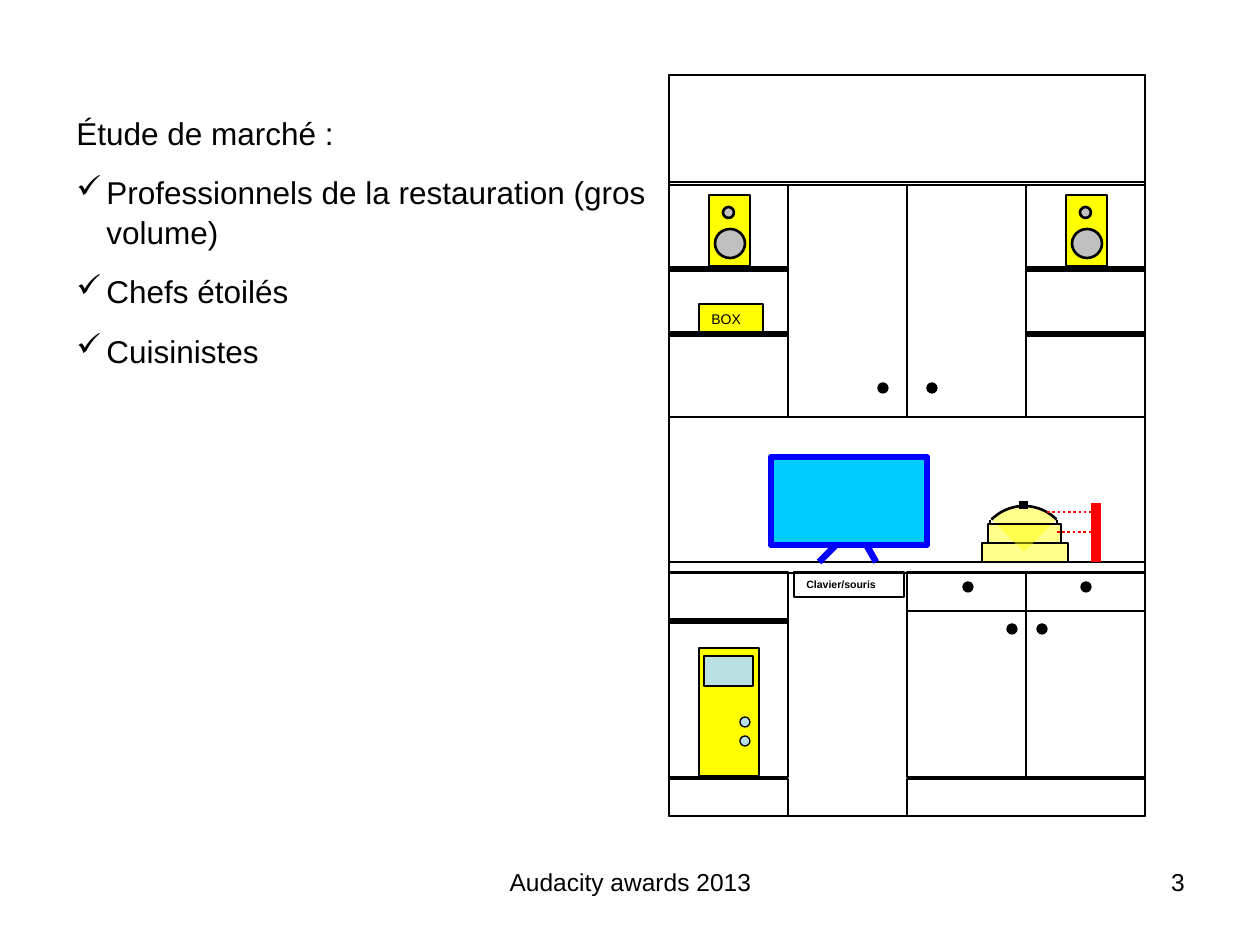
from lxml import etree
from pptx import Presentation
from pptx import util as u
from pptx.dml.color import RGBColor
from pptx.enum import dml, shapes, text
from pptx.oxml.ns import qn

BLACK = RGBColor(0, 0, 0)
YELLOW = RGBColor(255, 255, 0)
SILVER = RGBColor(192, 192, 192)
PALE = RGBColor(0xBB, 0xE0, 0xE3)
SKY = RGBColor(0, 0xCC, 255)
BLUE = RGBColor(0, 0, 255)
RED = RGBColor(255, 0, 0)
RECT = shapes.MSO_SHAPE.RECTANGLE
OVAL = shapes.MSO_SHAPE.OVAL
ARC = shapes.MSO_SHAPE.ARC
LEFT, MID, RIGHT = text.PP_ALIGN.LEFT, text.PP_ALIGN.CENTER, text.PP_ALIGN.RIGHT

TITLE = "Étude de marché :"
ITEMS = ["Professionnels de la restauration (gros volume)", "Chefs étoilés", "Cuisinistes"]
FOOTER = [("Audacity awards 2013", 431, 399, MID), ("3", 903, 294, RIGHT)]

# Cabinet grid: four equal columns
X0, COL = 669, 119
# Panels: first column, columns spanned, top, height, line width
PANELS = [
    (0, 4, 75, 741, 1.5), (0, 4, 75, 107, 0.75), (0, 4, 562, 11, 1.5),
    (0, 1, 779, 37, 1.5), (2, 2, 779, 37, 1.5), (0, 1, 572, 205, 1.5),
    *[(c, 1, 185, 232, 1.5) for c in range(4)],
    *[(c, 1, top, high, 1.5) for c in (2, 3) for top, high in ((572, 39), (611, 166))],
]
SHELVES = [(0, 269), (3, 269), (0, 334), (3, 334), (0, 621)]
KNOBS = [(878, 383), (927, 383), (963, 582), (1081, 582), (1007, 624), (1037, 624)]
# Speaker parts, offset from the left of the column
SPEAKER = [(RECT, 40, 195, 41, 71, YELLOW), (OVAL, 46, 229, 30, 29, SILVER),
           (OVAL, 54, 207, 11, 11, SILVER)]
TOWER = [(RECT, 699, 648, 60, 128, YELLOW, 1.5), (RECT, 704, 656, 49, 30, PALE, 1.5),
         (OVAL, 740, 717, 10, 10, PALE, 0.75), (OVAL, 740, 736, 10, 10, PALE, 0.75)]
LEGS = [(867, 546, 876, 562), (835, 546, 819, 562)]
DISH = [(RECT, 982, 543, 86, 19), (RECT, 988, 524, 73, 19), (ARC, 978, 506, 92, 92)]
RIM = [(990, 524, 1056, 524), (990, 520, 990, 524), (1057, 520, 1057, 524)]
BEAMS = [(1047, 512, 1096, 512), (1057, 532, 1096, 532)]

prs = Presentation()
prs.slide_width, prs.slide_height = u.Inches(10), u.Inches(7.5)
slide = prs.slides.add_slide(prs.slide_layouts[6])


def px(*vals):
    return [u.Emu(round(v * 914400 / 126)) for v in vals]


def draw(kind, x, y, w, h, fill=None, width=1.5, color=BLACK, alpha=None):
    shp = slide.shapes.add_shape(kind, *px(x, y, w, h))
    shp.shadow.inherit = False
    if fill is None:
        shp.fill.background()
    else:
        shp.fill.solid()
        shp.fill.fore_color.rgb = fill
    if alpha:
        tint = shp._element.spPr.find(qn("a:solidFill"))[0]
        etree.SubElement(tint, qn("a:alpha")).set("val", str(alpha * 1000))
    shp.line.color.rgb = color
    shp.line.width = u.Pt(width)
    return shp


def rule(x1, y1, x2, y2, width=1.5, color=BLACK, dash=None):
    ln = slide.shapes.add_connector(shapes.MSO_CONNECTOR.STRAIGHT, *px(x1, y1, x2, y2))
    ln.line.color.rgb = color
    ln.line.width = u.Pt(width)
    if dash:
        ln.line.dash_style = dash
    etree.SubElement(ln._element.spPr, qn("a:effectLst"))


def write(par, words, size, align=LEFT, bold=False):
    par.text = words
    par.alignment = align
    font = par.font
    font.name, font.size, font.bold = "Arial", u.Pt(size), bold
    font.color.rgb = BLACK


def label(shp, words, size, bold=False):
    shp.text_frame.vertical_anchor = text.MSO_ANCHOR.TOP
    write(shp.text_frame.paragraphs[0], words, size, bold=bold)


def box(x, y, w, h):
    frame = slide.shapes.add_textbox(*px(x, y, w, h)).text_frame
    frame.word_wrap = True
    return frame


# Cabinet
for col, span, top, high, width in PANELS:
    draw(RECT, X0 + col * COL, top, span * COL, high, width=width)
for col, y in SHELVES:
    rule(X0 + col * COL, y, X0 + (col + 1) * COL, y, 3.75)
for x, y in KNOBS:
    draw(OVAL, x, y, 10, 10, BLACK, 0.75)

# Keyboard drawer, computer, speakers and box
label(draw(RECT, 794, 572, 110, 25), "Clavier/souris", 6, True)
for part in TOWER:
    draw(*part)
for col in (0, 3):
    for kind, dx, y, w, h, fill in SPEAKER:
        draw(kind, X0 + col * COL + dx, y, w, h, fill)
label(draw(RECT, 699, 304, 64, 28, YELLOW), "BOX", 8)

# Television
draw(RECT, 771, 457, 156, 88, SKY, 3.75, BLUE)
for leg in LEGS:
    rule(*leg, 3.75, BLUE)

# Dish with its lid, and the sensor beside it
for part in DISH:
    shp = draw(*part, YELLOW, alpha=45)
    if part[0] == ARC:
        shp.rotation = 315
for edge in RIM:
    rule(*edge)
rule(1019, 505, 1028, 505, 5)
rule(1096, 503, 1096, 562, 5.75, RED)
for beam in BEAMS:
    rule(*beam, 1.5, RED, dml.MSO_LINE.ROUND_DOT)

# Market study
frame = box(64, 106, 595, 261)
for i, words in enumerate([TITLE] + ITEMS):
    par = frame.add_paragraph() if i else frame.paragraphs[0]
    if i:
        par.space_before = u.Pt(11.2)
        props = par._p.get_or_add_pPr()
        props.set("marL", str(px(30)[0]))
        props.set("indent", str(px(-30)[0]))
        etree.SubElement(props, qn("a:buChar")).set("char", "✓")
    par.line_spacing = 1.05
    write(par, words, 18)

# Footer
for words, x, w, align in FOOTER:
    write(box(x, 861, w, 66).paragraphs[0], words, 14, align)

prs.save("out.pptx")
